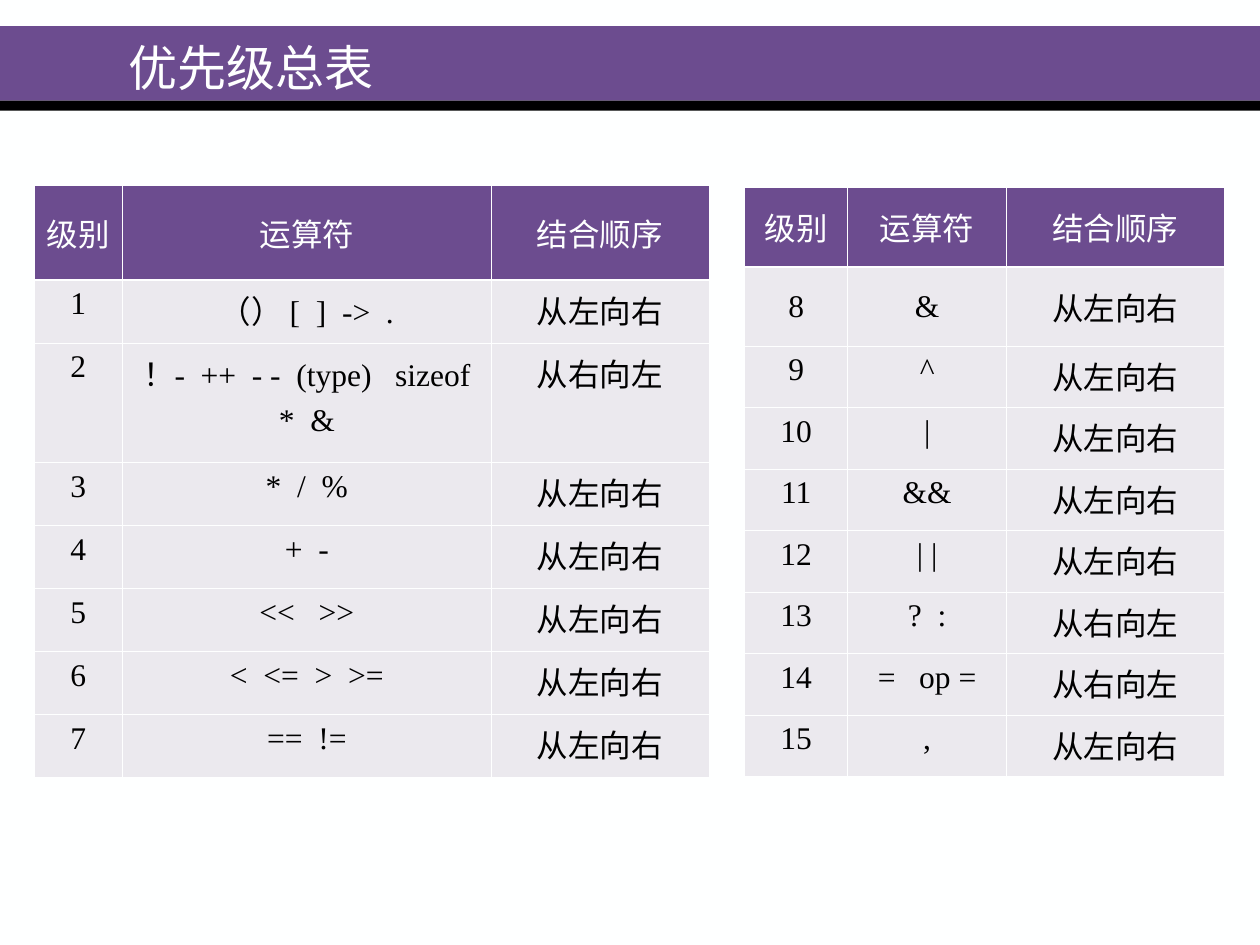
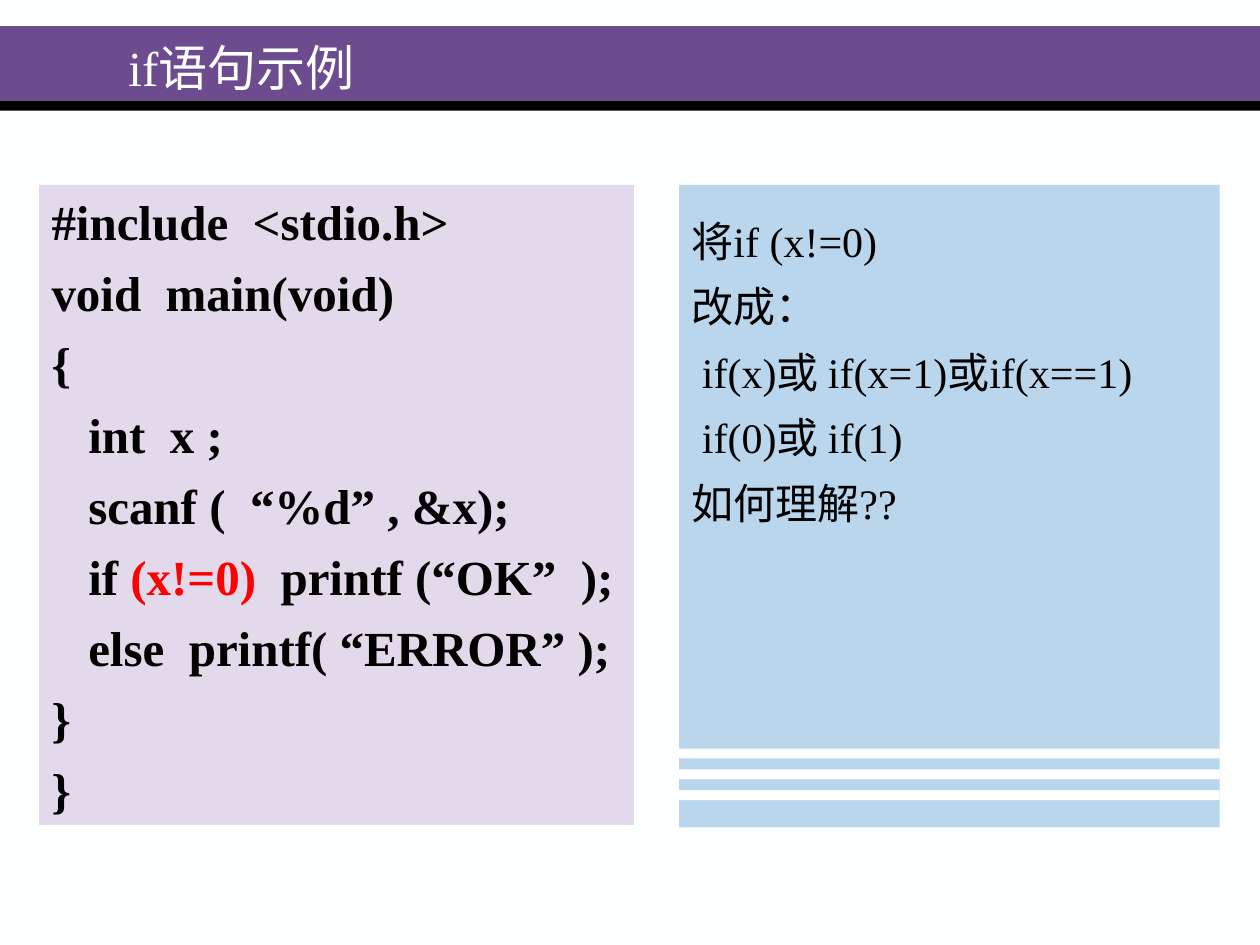
from lxml.etree import SubElement
from pptx import Presentation
from pptx.dml.color import RGBColor
from pptx.enum.shapes import MSO_SHAPE as SHAPE
from pptx.enum.text import MSO_ANCHOR as ANCHOR, PP_ALIGN as ALIGN
from pptx.oxml.ns import qn
from pptx.util import Cm, Pt

# Shared look
rgb = RGBColor.from_string
PURPLE, BLACK, WHITE, RED = "6C4C8F", "000000", "FEFFFF", "FF0000"
CELL, LILAC, BLUE = "EBE9EE", "E2D9EB", "76AEDD"
FONT = "Times New Roman"
LTR, RTL = "从左向右", "从右向左"


def add_run(p, text, size, color=BLACK, bold=False):
    r = p.add_run()
    r.text = text
    r.font.name = FONT
    r.font.size = Pt(size)
    r.font.bold = bold
    r.font.color.rgb = rgb(color)


def add_rect(s, left, top, width, height, color):
    sp = s.shapes.add_shape(SHAPE.RECTANGLE, Cm(left), Cm(top), Cm(width), Cm(height))
    sp.shadow.inherit = False
    sp.fill.solid()
    sp.fill.fore_color.rgb = rgb(color)
    sp.line.fill.background()
    return sp


prs = Presentation()
prs.slide_width, prs.slide_height = Cm(25.4), Cm(19.05)

# Background, bands and title of each slide
slides = []
for title in ("优先级总表", "if语句示例"):
    s = prs.slides.add_slide(prs.slide_layouts[6])
    s.background.fill.solid()
    s.background.fill.fore_color.rgb = rgb(WHITE)
    add_rect(s, 0, 0.53, 25.4, 1.5, PURPLE)
    add_rect(s, 0, 2.03, 25.4, 0.2, BLACK)
    tf = s.shapes.add_textbox(Cm(2.34), Cm(0.71), Cm(17.78), Cm(1.27)).text_frame
    tf.word_wrap = True
    tf.vertical_anchor = ANCHOR.MIDDLE
    add_run(tf.paragraphs[0], title, 28, WHITE)
    slides.append(s)
table_slide, code_slide = slides

# Slide 1: operator precedence tables
header = ("级别", "运算符", "结合顺序")
low_levels = [
    ("1", "（） [  ]  ->  .", LTR),
    ("2", "！-  ++  - -  (type)   sizeof\n*  &", RTL),
    ("3", "*  /  %", LTR),
    ("4", "+  -", LTR),
    ("5", "<<   >>", LTR),
    ("6", "<  <=  >  >=", LTR),
    ("7", "==  !=", LTR),
]
high_levels = [
    ("8", "&", LTR),
    ("9", "^", LTR),
    ("10", "|", LTR),
    ("11", "&&", LTR),
    ("12", "| |", LTR),
    ("13", "?  :", RTL),
    ("14", "=   op =", RTL),
    ("15", ",", LTR),
]
# left, top, column widths, row heights, number of centred rows, body
tables = [
    (0.69, 3.73, (1.78, 7.43, 4.39), [1.92, 1.27, 2.41] + [1.27] * 5, 1, low_levels),
    (15.01, 3.78, (2.08, 3.2, 4.39), [1.6] * 2 + [1.24] * 7, 2, high_levels),
]
for left, top, widths, heights, centred_rows, body in tables:
    tbl = table_slide.shapes.add_table(
        len(heights), len(widths), Cm(left), Cm(top), Cm(sum(widths)), Cm(sum(heights))
    ).table
    tbl.horz_banding = False
    for col, width in zip(tbl.columns, widths):
        col.width = Cm(width)
    for i, values in enumerate([header] + body):
        tbl.rows[i].height = Cm(heights[i])
        for j, value in enumerate(values):
            cell = tbl.cell(i, j)
            cell.vertical_anchor = ANCHOR.MIDDLE if i < centred_rows else ANCHOR.TOP
            # Borders, thicker between header and body
            tc_pr = cell._tc.get_or_add_tcPr()
            for side in ("lnL", "lnR", "lnT", "lnB"):
                thick = (i, side) in ((0, "lnB"), (1, "lnT"))
                ln = SubElement(tc_pr, qn("a:" + side), w=str(Pt(1.47 if thick else 0.45)))
                SubElement(SubElement(ln, qn("a:solidFill")), qn("a:srgbClr"), val=WHITE)
            cell.fill.solid()
            cell.fill.fore_color.rgb = rgb(CELL if i else PURPLE)
            tf = cell.text_frame
            for k, line in enumerate(value.split("\n")):
                p = tf.add_paragraph() if k else tf.paragraphs[0]
                p.alignment = ALIGN.CENTER
                p.space_before = Pt(4.5)
                add_run(p, line, 18, BLACK if i else WHITE)

# Slide 2: code panel, note panel and its stripes
code_box = add_rect(code_slide, 0.79, 3.73, 11.99, 12.9, LILAC)
note_panel = add_rect(code_slide, 13.69, 3.73, 10.9, 12.95, BLUE)
color = note_panel._element.spPr.find(qn("a:solidFill")).find(qn("a:srgbClr"))
SubElement(color, qn("a:alpha"), val="50000")
note_box = code_slide.shapes.add_textbox(Cm(13.69), Cm(3.91), Cm(10.64), Cm(6.86))
for i in range(3):
    add_rect(code_slide, 13.69, 15.09 + 0.42 * i, 10.9, 0.2, WHITE)

# Each line: indent in points, then its runs
code = [
    (0, [("#include  <stdio.h>", BLACK)]),
    (0, [("void  main(void)", BLACK)]),
    (0, [("{", BLACK)]),
    (21, [("int  x ;", BLACK)]),
    (21, [("scanf (  “%d” , &x);", BLACK)]),
    (21, [("if ", BLACK), ("(x!=0)  ", RED), ("printf (“OK”  );", BLACK)]),
    (21, [("else  printf( “ERROR” );", BLACK)]),
    (0, [("}", BLACK)]),
    (0, [("}", BLACK)]),
]
note = [
    (0, [("将if (x!=0)", BLACK)]),
    (0, [("改成：", BLACK)]),
    (6, [("if(x)或 if(x=1)或if(x==1)", BLACK)]),
    (6, [("if(0)或 if(1)", BLACK)]),
    (0, [("如何理解??", BLACK)]),
]
# box, lines, size, bold, space before, line spacing
for box, lines, size, bold, before, spacing in (
    (code_box, code, 28, True, 7, 1.0),
    (note_box, note, 24, False, 0, 1.3),
):
    tf = box.text_frame
    tf.word_wrap = True
    tf.vertical_anchor = ANCHOR.TOP
    for i, (indent, runs) in enumerate(lines):
        p = tf.add_paragraph() if i else tf.paragraphs[0]
        p.alignment = ALIGN.LEFT
        p.space_before = Pt(before)
        p.line_spacing = spacing
        p._p.get_or_add_pPr().set("marL", str(Pt(indent)))
        for text, run_color in runs:
            add_run(p, text, size, run_color, bold)

prs.save("out.pptx")
